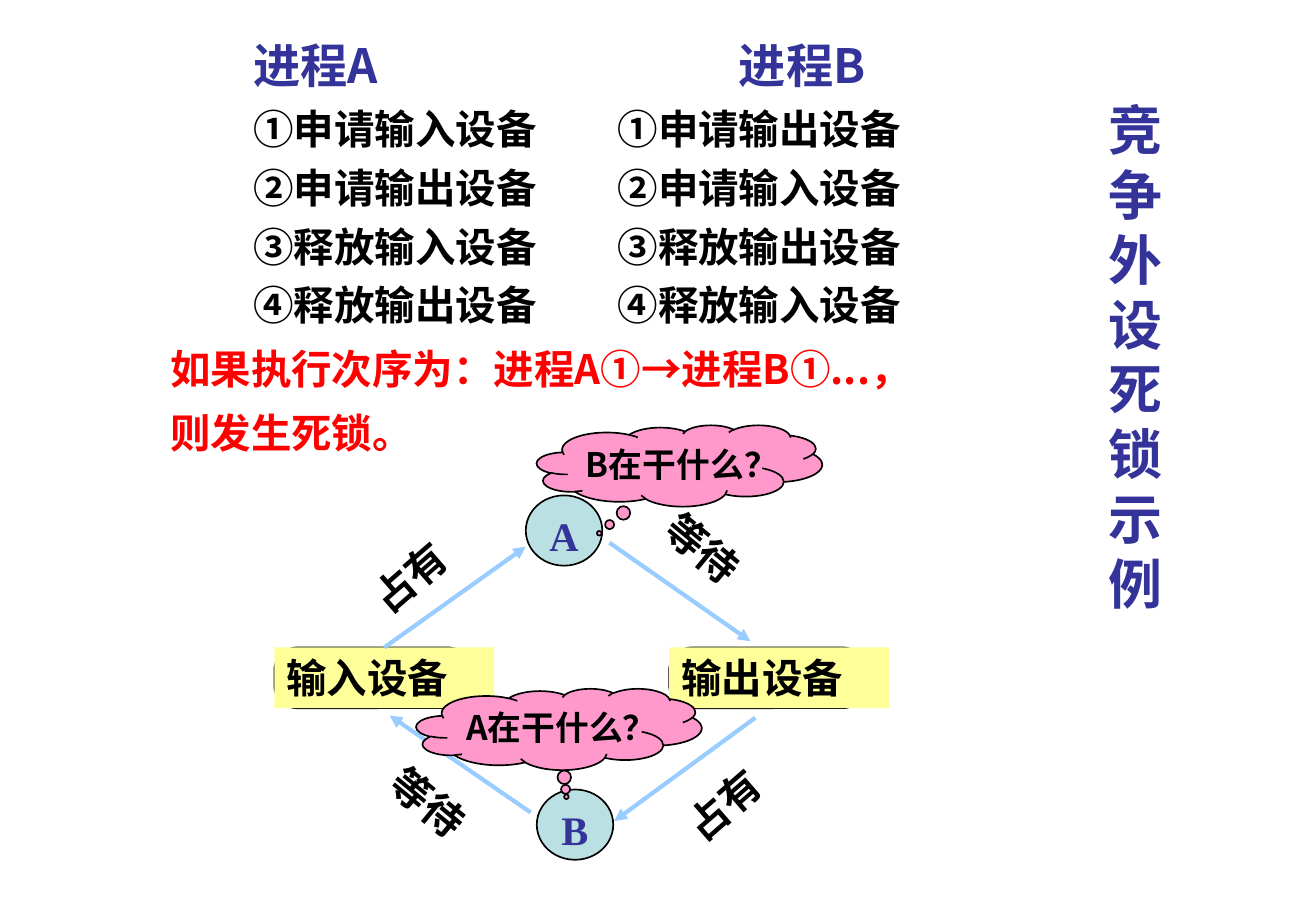
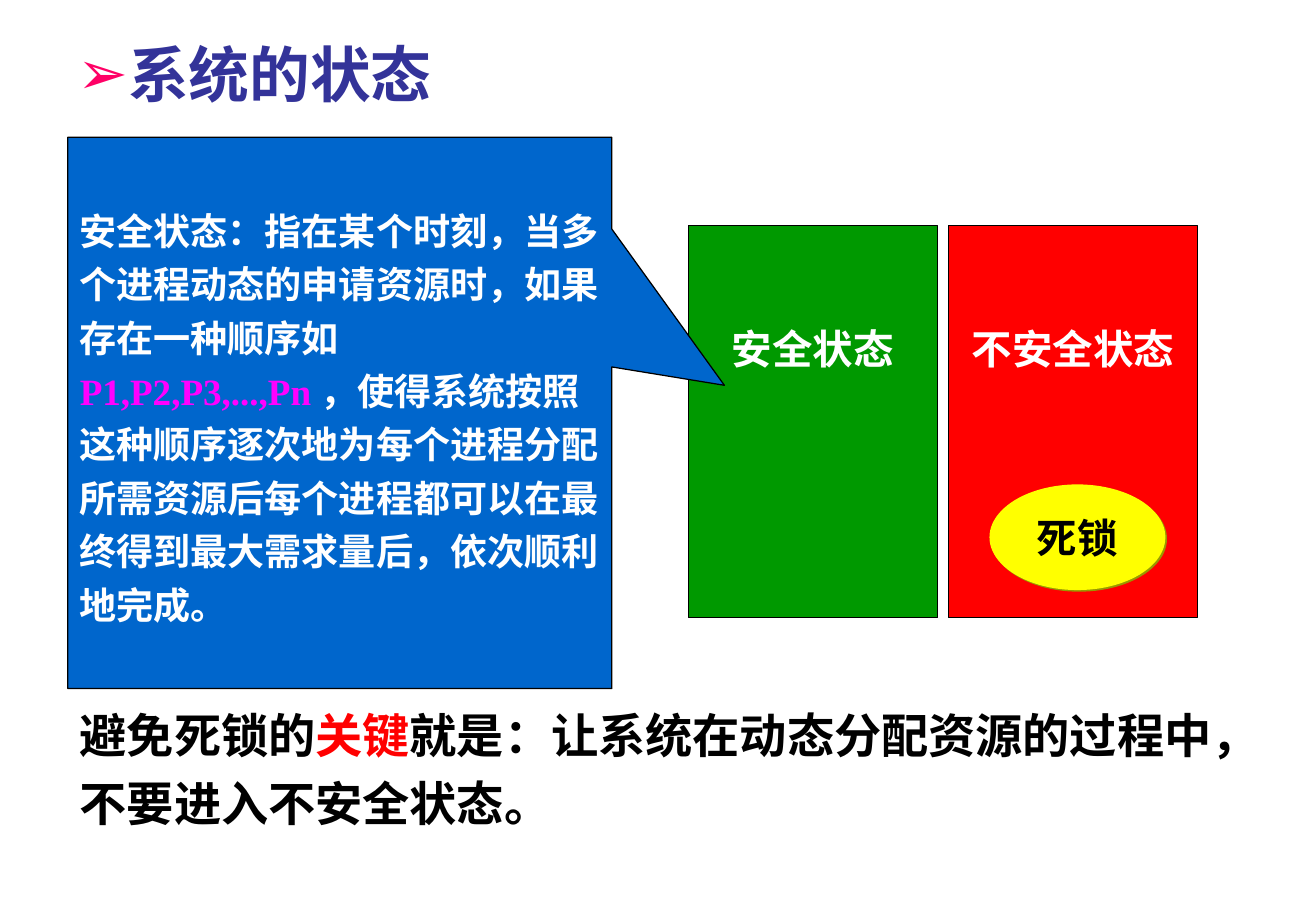
from lxml import etree
from pptx import Presentation
from pptx.dml.color import RGBColor
from pptx.enum.shapes import MSO_CONNECTOR, MSO_SHAPE
from pptx.enum.text import MSO_ANCHOR, MSO_AUTO_SIZE, PP_ALIGN
from pptx.oxml.ns import qn
from pptx.util import Cm, Pt

RECT, ROUND, OVAL = MSO_SHAPE.RECTANGLE, MSO_SHAPE.ROUNDED_RECTANGLE, MSO_SHAPE.OVAL
CLOUD, CALLOUT = MSO_SHAPE.CLOUD_CALLOUT, MSO_SHAPE.RECTANGULAR_CALLOUT
STRAIGHT = MSO_CONNECTOR.STRAIGHT
TOP, MIDDLE = MSO_ANCHOR.TOP, MSO_ANCHOR.MIDDLE
LEFT, CENTER, JUSTIFY = PP_ALIGN.LEFT, PP_ALIGN.CENTER, PP_ALIGN.JUSTIFY
GROW = MSO_AUTO_SIZE.SHAPE_TO_FIT_TEXT

HAN, SERIF, SANS = "Noto Sans CJK SC", "Times New Roman", "Arial"
COLORS = {
    "black": "000000", "white": "FFFFFF", "title": "333399", "red": "FF0000",
    "bullet": "FF0066", "circle": "BBE0E3", "device": "FFFF99",
    "arrow": "99CCFF", "cloud": "FF99CC", "safe": "009900",
    "deadlock": "FFFF00", "shade": "999900", "callout": "0066CC",
    "sequence": "FF00FF",
}


def color(name):
    return RGBColor.from_string(COLORS[name])


def sub(parent, tag, **attrs):
    return etree.SubElement(parent, qn(tag), attrs)


def write(p, text, size=24, fill="black", font=SERIF, bold=True):
    r = p.add_run()
    r.text = text
    r.font.size, r.font.bold, r.font.name = Pt(size), bold, font
    r.font.color.rgb = color(fill)
    sub(r.font._element, "a:ea", typeface=HAN)


class Deck:
    def __init__(self, width, height):
        self.prs = Presentation()
        self.prs.slide_width, self.prs.slide_height = Cm(width), Cm(height)

    def add_slide(self):
        self.s = self.prs.slides.add_slide(self.prs.slide_layouts[6])

    def frame(self, sp, wrap=True, anchor=TOP, grow=False):
        tf = sp.text_frame
        tf.word_wrap, tf.vertical_anchor = wrap, anchor
        if grow:
            tf.auto_size = GROW
        return tf

    def text(self, x, y, w, h, text="", rotation=0, **fmt):
        sp = self.s.shapes.add_textbox(Cm(x), Cm(y), Cm(w), Cm(h))
        sp.rotation = rotation
        tf = self.frame(sp, grow=True)
        if text:
            write(tf.paragraphs[0], text, **fmt)
        return tf

    def shape(self, kind, x, y, w, h, fill, line=None, adjust=()):
        sp = self.s.shapes.add_shape(kind, Cm(x), Cm(y), Cm(w), Cm(h))
        sp.shadow.inherit = False
        sp.fill.solid()
        sp.fill.fore_color.rgb = color(fill)
        if line:
            sp.line.color.rgb, sp.line.width = color("black"), Pt(line)
        else:
            sp.line.fill.background()
        for i, value in enumerate(adjust):
            sp.adjustments[i] = value
        return sp

    def label(self, sp, text, left=0.25, top=0.13, bottom=0.13, **fmt):
        tf = self.frame(sp, wrap=False, anchor=MIDDLE)
        tf.margin_left, tf.margin_top, tf.margin_bottom = Cm(left), Cm(top), Cm(bottom)
        p = tf.paragraphs[0]
        p.alignment = CENTER
        write(p, text, **fmt)

    def device(self, x, y, name):
        self.shape(ROUND, x, y, 4.11, 1.27, "circle", 1, (0.375,))
        sp = self.shape(RECT, x, y, 4.6, 1.27, "device")
        p = self.frame(sp, grow=True).paragraphs[0]
        p.alignment = LEFT
        write(p, name)
        return sp

    def process(self, x, y, name):
        sp = self.shape(OVAL, x, y, 1.6, 1.47, "circle", 1)
        self.label(sp, name, top=0.31, fill="title")

    def cloud(self, x, y, tip, text):
        sp = self.shape(CLOUD, x, y, 5.97, 1.7, "cloud", 1, (tip, 0.831))
        self.label(sp, text, left=0.78, size=20, font=HAN)

    def arrow(self, x1, y1, x2, y2, source=None):
        c = self.s.shapes.add_connector(STRAIGHT, Cm(x1), Cm(y1), Cm(x2), Cm(y2))
        if source:
            c.begin_connect(source, 0)
        c.line.color.rgb, c.line.width = color("arrow"), Pt(2.5)
        sub(c.line._get_or_add_ln(), "a:tailEnd", type="triangle")
        sub(c._element.spPr, "a:effectLst")

    def bullet_title(self, x, y, w, h, text):
        p = self.text(x, y, w, h).paragraphs[0]
        pPr = p._p.get_or_add_pPr()
        pPr.set("marL", str(Cm(0.97)))
        pPr.set("indent", str(-Cm(0.97)))
        sub(sub(pPr, "a:buClr"), "a:srgbClr", val=COLORS["bullet"])
        sub(pPr, "a:buFont", typeface=SANS)
        sub(pPr, "a:buChar", char="➢")
        write(p, text, size=36, fill="title", font=SANS)

    def tabbed(self, tf, text, before, after, tabs=(), margin=0, **fmt):
        p = tf.paragraphs[0]
        if p.runs:
            p = tf.add_paragraph()
            p.space_before = Pt(before)
        p.alignment, p.space_after = JUSTIFY, Pt(after)
        pPr = p._p.get_or_add_pPr()
        pPr.set("marL", str(Cm(margin)))
        if tabs:
            tab_list = sub(pPr, "a:tabLst")
            for pos in tabs:
                sub(tab_list, "a:tab", pos=str(Cm(pos)), algn="l")
        write(p, text, font=HAN, **fmt)

    def passage(self, tf, runs, size):
        p = tf.paragraphs[0]
        p.alignment, p.line_spacing = LEFT, 1.2
        for text, fill in runs:
            write(p, text, size=size, fill=fill)


def deadlock_example(d):
    d.add_slide()
    tf = d.text(2.51, 0.64, 23.16, 9.04)
    d.tabbed(tf, "\t进程A\t进程B", 0, 3.5, (2.54, 12.7), size=28, fill="title")
    for a, b in (("①申请输入设备", "①申请输出设备"),
                 ("②申请输出设备", "②申请输入设备"),
                 ("③释放输入设备", "③释放输出设备"),
                 ("④释放输出设备", "④释放输入设备")):
        d.tabbed(tf, f"\t{a}\t{b}", 3, 3, (2.54, 10.16))
    for line in ("如果执行次序为：进程A①→进程B①...，", "则发生死锁。"):
        d.tabbed(tf, line, 6, 3, margin=0.8, fill="red")

    d.process(11.23, 16.51, "B")
    d.process(11, 10.36, "A")
    input_device = d.device(5.74, 13.54, "输入设备")
    d.device(14, 13.54, "输出设备")

    d.arrow(8.04, 13.54, 11, 11.43, input_device)
    d.arrow(15.8, 15.01, 12.85, 17.17)
    d.arrow(12.75, 11.35, 15.7, 13.41)
    d.arrow(11.1, 16.99, 8.15, 14.96)
    for x, y, w, angle, text in ((7.44, 11.33, 2.51, 319, "占有"),
                                 (14, 16.08, 2.51, 319, "占有"),
                                 (13.54, 11, 2.74, 39.5, "等待"),
                                 (7.8, 16.31, 2.74, 39.5, "等待")):
        d.text(x, y, w, 1.27, text, rotation=angle)

    d.cloud(8.71, 14.4, 0.026, "A在干什么？")
    d.cloud(11.23, 8.89, -0.281, "B在干什么？")
    d.text(22.94, 1.9, 2.06, 11.1, "竞争外设死锁示例", size=32, fill="title")


def system_states(d):
    d.add_slide()
    d.bullet_title(1.37, 0.64, 8.76, 2.24, "系统的状态")
    for x, fill, text in ((14.4, "safe", "安全状态"), (19.84, "red", "不安全状态")):
        sp = d.shape(RECT, x, 4.72, 5.21, 8.2, fill, 0.75)
        d.label(sp, text, bottom=3.2, fill="white")

    sp = d.shape(OVAL, 20.7, 10.13, 3.68, 2.21, "deadlock")
    d.label(sp, "死锁")
    effects = sp._element.spPr.find(qn("a:effectLst"))
    shadow = sub(effects, "a:outerShdw", dist=str(Pt(1.4)), dir="2700000")
    sub(shadow, "a:srgbClr", val=COLORS["shade"])

    sp = d.shape(CALLOUT, 1.42, 2.87, 11.38, 11.53, "callout", 0.75, (0.707, -0.05))
    d.passage(d.frame(sp, anchor=MIDDLE), (
        ("安全状态：指在某个时刻，当多个进程动态的申请资源时，如果存在一种顺序如", "white"),
        ("P1,P2,P3,...,Pn ", "sequence"),
        ("，使得系统按照这种顺序逐次地为每个进程分配所需资源后每个进程都可以在"
         "最终得到最大需求量后，依次顺利地完成。", "white")), 22)
    d.passage(d.text(1.42, 14.4, 24.97, 3.1), (
        ("避免死锁的", "black"),
        ("关键", "red"),
        ("就是：让系统在动态分配资源的过程中，不要进入不安全状态。", "black")), 28)


def main():
    d = Deck(27.53, 19.05)
    deadlock_example(d)
    system_states(d)
    d.prs.save("out.pptx")


if __name__ == "__main__":
    main()
